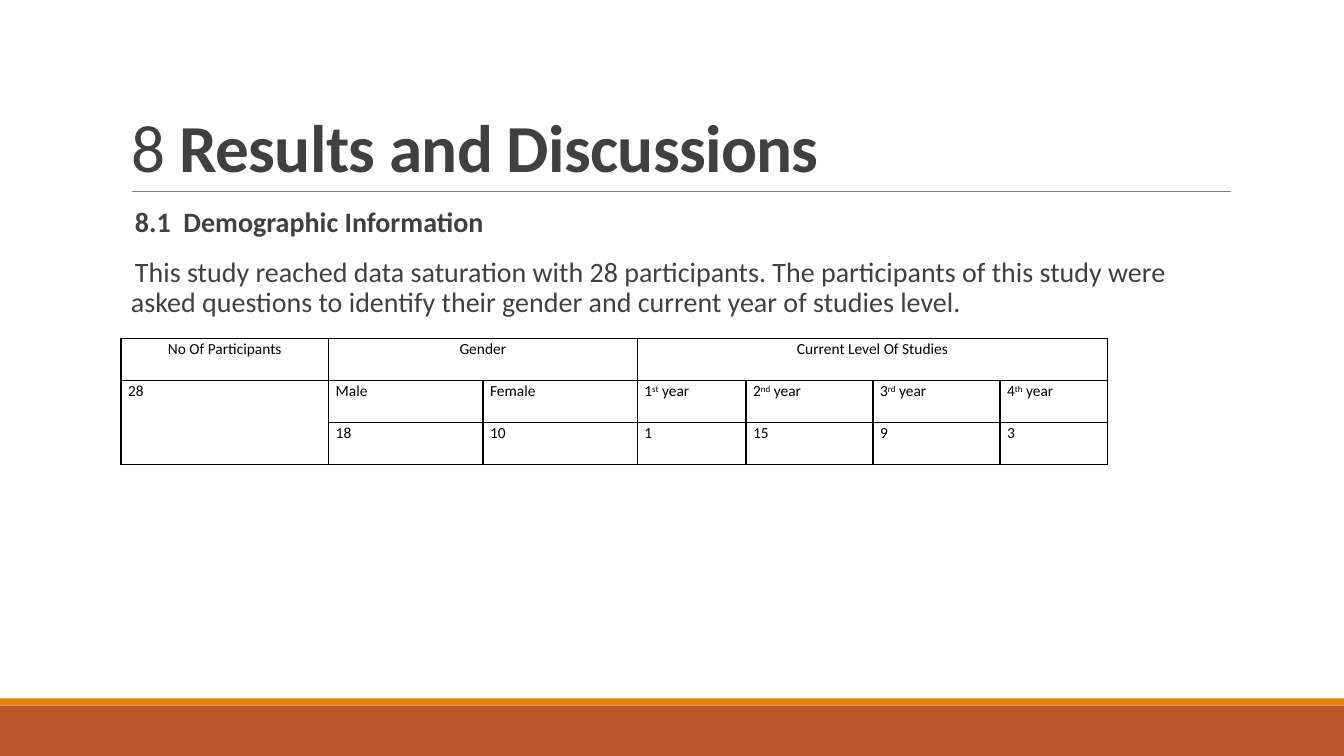
from lxml import etree
from pptx import Presentation
from pptx import util as u
from pptx.dml.color import RGBColor
from pptx.enum import shapes, text
from pptx.oxml.ns import qn

COLORS = {"text": "404040", "rust": "BD582C", "orange": "E48312",
          "rule": "808080", "black": "000000"}
SUPERSCRIPT = {"baseline": "30000"}


def rgb(name):
    return RGBColor.from_string(COLORS[name])


def apply(target, values):
    for name, value in values.items():
        setattr(target, name, value)


def solid_fill(parent, color):
    fill = etree.SubElement(parent, qn("a:solidFill"))
    etree.SubElement(fill, qn("a:srgbClr"), val=COLORS[color])


class SlideBuilder:
    font = "Calibri"

    def __init__(self, prs):
        self.slide = prs.slides.add_slide(prs.slide_layouts[5])
        self.shapes = self.slide.shapes

    def run(self, p, content, size, color, bold=False, **attributes):
        r = p.add_run()
        r.text = content
        apply(r.font, {"name": self.font, "size": u.Pt(size), "bold": bold})
        r.font.color.rgb = rgb(color)
        for name, value in attributes.items():
            r._r.get_or_add_rPr().set(name, value)

    def bar(self, top, height, color):
        sp = self.shapes.add_shape(shapes.MSO_SHAPE.RECTANGLE, 0, u.Cm(top),
                                   u.Cm(33.87), u.Cm(height))
        sp.shadow.inherit = False
        sp.fill.solid()
        sp.fill.fore_color.rgb = rgb(color)
        sp.line.fill.background()

    def rule(self, left, right, y):
        line = self.shapes.add_connector(shapes.MSO_CONNECTOR.STRAIGHT, u.Cm(left),
                                         u.Cm(y), u.Cm(right), u.Cm(y))
        line.line.color.rgb = rgb("rule")
        line.line.width = u.Pt(0.5)
        etree.SubElement(line._element.spPr, qn("a:effectLst"))

    def title(self, left, top, width, height, parts):
        sp = self.shapes.title
        apply(sp, {"left": u.Cm(left), "top": u.Cm(top),
                   "width": u.Cm(width), "height": u.Cm(height)})
        tf = sp.text_frame
        apply(tf, {"vertical_anchor": text.MSO_ANCHOR.BOTTOM, "word_wrap": True,
                   "auto_size": text.MSO_AUTO_SIZE.NONE})
        p = tf.paragraphs[0]
        apply(p, {"alignment": text.PP_ALIGN.LEFT, "line_spacing": 0.85})
        for content, bold in parts:
            self.run(p, content, 48, "text", bold, spc="-50")

    def body(self, left, top, width, height, paragraphs):
        sp = self.shapes.add_textbox(u.Cm(left), u.Cm(top), u.Cm(width), u.Cm(height))
        tf = sp.text_frame
        apply(tf, {"word_wrap": True, "margin_left": 0, "margin_right": 0})
        for i, (content, bold) in enumerate(paragraphs):
            p = tf.add_paragraph() if i else tf.paragraphs[0]
            apply(p, {"line_spacing": 0.9, "space_before": u.Pt(12),
                      "space_after": u.Pt(2)})
            pPr = p._p.get_or_add_pPr()
            indent = u.Cm(0.25)
            pPr.set("marL", str(indent))
            pPr.set("indent", str(-indent))
            bullet_color = etree.SubElement(pPr, qn("a:buClr"))
            etree.SubElement(bullet_color, qn("a:srgbClr"), val=COLORS["orange"])
            etree.SubElement(pPr, qn("a:buChar"), char=" ")
            self.run(p, content, 20, "text", bold)

    def cell(self, cell, parts, centered):
        apply(cell, {"margin_left": u.Cm(0.18), "margin_right": u.Cm(0.18),
                     "margin_top": 0, "margin_bottom": 0})
        tcPr = cell._tc.get_or_add_tcPr()
        for side in ("lnL", "lnR", "lnT", "lnB"):
            solid_fill(etree.SubElement(tcPr, qn(f"a:{side}"), w=str(u.Pt(1))), "black")
        cell.fill.background()
        p = cell.text_frame.paragraphs[0]
        apply(p, {"line_spacing": 1.07,
                  "alignment": text.PP_ALIGN.CENTER if centered else text.PP_ALIGN.LEFT})
        for content, attributes in parts:
            self.run(p, content, 11, "black", **attributes)

    def table(self, left, top, widths, row_height, rows, merges):
        frame = self.shapes.add_table(len(rows), len(widths), u.Cm(left), u.Cm(top),
                                      u.Cm(sum(widths)), u.Cm(row_height * len(rows)))
        table = frame.table
        apply(table, {"first_row": False, "horz_banding": False})
        for column, width in zip(table.columns, widths):
            column.width = u.Cm(width)
        for row in table.rows:
            row.height = u.Cm(row_height)
        for start, end in merges:
            table.cell(*start).merge(table.cell(*end))
        for i, row in enumerate(rows):
            for j, parts in enumerate(row):
                self.cell(table.cell(i, j), parts, centered=i == 0)


def plain(content):
    return [(content, {})] if content else []


def year(number, suffix):
    return [(number, {}), (suffix, SUPERSCRIPT), (" year", {})]


def main():
    prs = Presentation()
    apply(prs, {"slide_width": u.Cm(33.87), "slide_height": u.Cm(19.05)})
    s = SlideBuilder(prs)
    s.bar(17.78, 1.27, "rust")
    s.bar(17.6, 0.18, "orange")
    s.rule(3.33, 31.01, 4.83)
    s.title(3.05, 0.79, 27.94, 4.04, [("8 ", False), ("Results and Discussions", True)])
    s.body(3.05, 5.13, 27.94, 11.18, [
        ("8.1  Demographic Information", True),
        ("This study reached data saturation with 28 participants. The participants of "
         "this study were asked questions to identify their gender and current year of "
         "studies level.", False),
    ])
    headings = ["No Of Participants", "Gender", "", "Current Level Of Studies", "", "", ""]
    years = [year(*y) for y in (("1", "st"), ("2", "nd"), ("3", "rd"), ("4", "th"))]
    counts = ["", "18", "10", "1", "15", "9", "3"]
    s.table(3.05, 8.53, [5.23, 3.89, 3.89, 2.74, 3.2, 3.2, 2.72], 1.06, [
        [plain(h) for h in headings],
        [plain(c) for c in ("28", "Male", "Female")] + years,
        [plain(c) for c in counts],
    ], [((0, 1), (0, 2)), ((0, 3), (0, 6)), ((1, 0), (2, 0))])
    prs.save("out.pptx")


if __name__ == "__main__":
    main()
